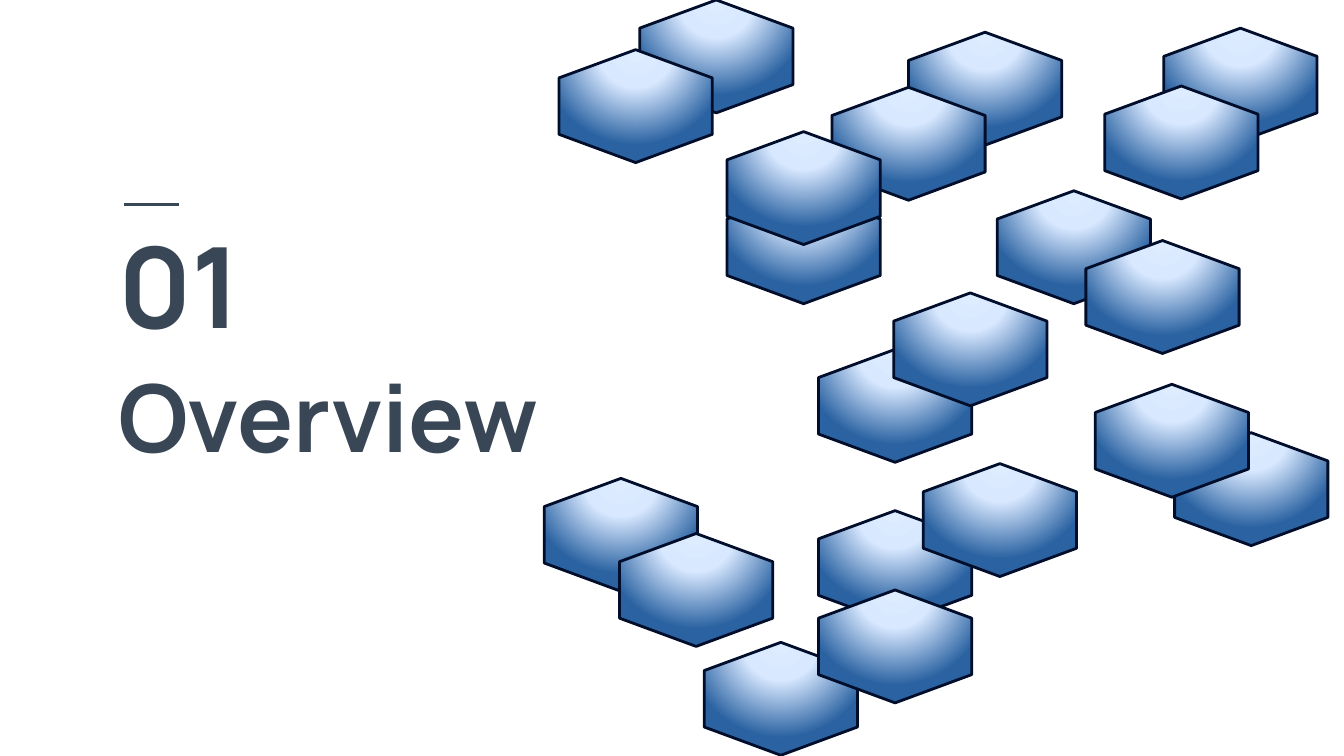
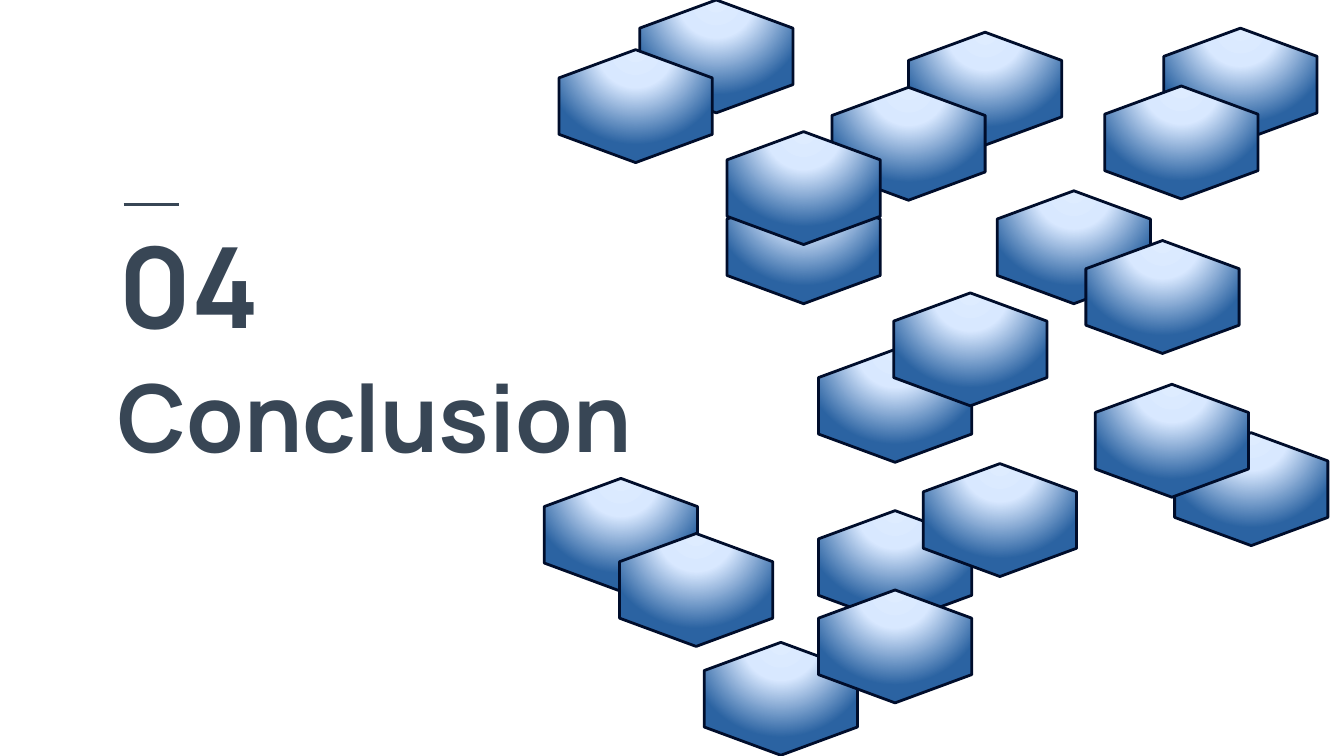
"""Build two section slides with a heading and a field of hexagons."""
import lxml.etree
import pptx
import pptx.dml.color
import pptx.enum.shapes
import pptx.enum.text
import pptx.oxml
import pptx.oxml.ns
import pptx.util

Inches = pptx.util.Inches

COLORS = {
    "background": "FFFFFF",
    "ink": "384655",
    "outline": "000D2B",
    "glow": "DEECFF",
    "light": "D8E8FF",
    "deep": "2B63A2",
}
FONT = "Manrope"
LINE_WIDTH = 1.5
GRADIENT_STOPS = [(0, "glow"), (40, "light"), (100, "deep")]

HEADING_LEFT, HEADING_TOP = 0.78, 1.52
FIELD_LEFT, FIELD_TOP = 4.05, 0
HEXAGON_WIDTH, HEXAGON_HEIGHT = 1.14, 0.84
HEXAGON_CORNERS = [(0.5, 0), (0, 0.25), (0, 0.75), (0.5, 1), (1, 0.75), (1, 0.25)]
HEXAGON_OFFSETS = [
    (4.61, 0.21), (4.69, 3.22), (2.04, 2.6), (2.71, 0.24), (2.14, 0.65),
    (1.36, 1.42), (1.36, 0.98), (3.37, 1.42), (0.71, 0), (2.6, 2.18),
    (0.11, 0.37), (4.03, 1.79), (0, 3.56), (2.04, 3.8), (1.19, 4.78),
    (2.82, 3.45), (2.04, 4.39), (0.56, 3.97), (4.1, 2.86), (4.17, 0.64),
]

SECTIONS = [
    {"number": "01", "title": "Overview", "width": 4.75},
    {"number": "04", "title": "Conclusion", "width": 6.33},
]


def color(name):
    """Return the named palette colour."""
    return pptx.dml.color.RGBColor.from_string(COLORS[name])


def add_text(slide, text, left, top, width, height, *, size, anchor):
    """Add one bold line of heading text."""
    box = slide.shapes.add_textbox(Inches(left), Inches(top), Inches(width), Inches(height))
    frame = box.text_frame
    frame.word_wrap = True
    frame.vertical_anchor = anchor
    frame.margin_left = frame.margin_right = Inches(0.1)
    frame.margin_top = frame.margin_bottom = Inches(0.1)
    run = frame.paragraphs[0].add_run()
    run.text = text
    run.font.name = FONT
    run.font.size = pptx.util.Pt(size)
    run.font.bold = True
    run.font.color.rgb = color("ink")


def add_rule(slide, left, top, width):
    """Add a short horizontal line without a shadow."""
    rule = slide.shapes.add_connector(
        pptx.enum.shapes.MSO_CONNECTOR.STRAIGHT,
        Inches(left), Inches(top), Inches(left + width), Inches(top),
    )
    rule.line.color.rgb = color("ink")
    rule.line.width = pptx.util.Pt(LINE_WIDTH)
    lxml.etree.SubElement(rule._element.spPr, pptx.oxml.ns.qn("a:effectLst"))


def gradient_fill():
    """Return a radial gradient whose centre lies above the shape."""
    stops = "".join(
        f'<a:gs pos="{percent * 1000}"><a:srgbClr val="{COLORS[name]}"/></a:gs>'
        for percent, name in GRADIENT_STOPS
    )
    return pptx.oxml.parse_xml(
        f'<a:gradFill {pptx.oxml.ns.nsdecls("a")}><a:gsLst>{stops}</a:gsLst>'
        '<a:path path="circle">'
        '<a:fillToRect l="50000" t="-80000" r="50000" b="180000"/>'
        "</a:path></a:gradFill>"
    )


def add_hexagon(shapes, left, top):
    """Add one outlined hexagon with a gradient."""
    points = [
        (Inches(left + x * HEXAGON_WIDTH), Inches(top + y * HEXAGON_HEIGHT))
        for x, y in HEXAGON_CORNERS
    ]
    builder = shapes.build_freeform(*points[0])
    builder.add_line_segments(points[1:], close=True)
    hexagon = builder.convert_to_shape()
    hexagon.shadow.inherit = False
    hexagon.line.color.rgb = color("outline")
    hexagon.line.width = pptx.util.Pt(LINE_WIDTH)
    outline = hexagon._element.spPr.find(pptx.oxml.ns.qn("a:ln"))
    outline.addprevious(gradient_fill())


def add_hexagon_field(slide, left, top):
    """Add the grouped hexagons from back to front."""
    group = slide.shapes.add_group_shape()
    for x, y in HEXAGON_OFFSETS:
        add_hexagon(group.shapes, left + x, top + y)


def add_heading(slide, section, left, top):
    """Add the title, number and rule of a section."""
    anchors = pptx.enum.text.MSO_ANCHOR
    add_text(slide, section["title"], left, top + 1.09, section["width"], 1,
             size=50, anchor=anchors.BOTTOM)
    add_text(slide, section["number"], left, top + 0.09, 1.38, 1,
             size=60, anchor=anchors.MIDDLE)
    add_rule(slide, left + 0.14, top, 0.41)


def add_section_slide(presentation, section):
    """Add one section slide."""
    slide = presentation.slides.add_slide(presentation.slide_layouts[6])
    slide.background.fill.solid()
    slide.background.fill.fore_color.rgb = color("background")
    add_heading(slide, section, HEADING_LEFT, HEADING_TOP)
    add_hexagon_field(slide, FIELD_LEFT, FIELD_TOP)


def main():
    """Build and save the presentation."""
    presentation = pptx.Presentation()
    presentation.slide_width = Inches(10)
    presentation.slide_height = Inches(10 * 9 / 16)
    for section in SECTIONS:
        add_section_slide(presentation, section)
    presentation.save("out.pptx")


if __name__ == "__main__":
    main()
